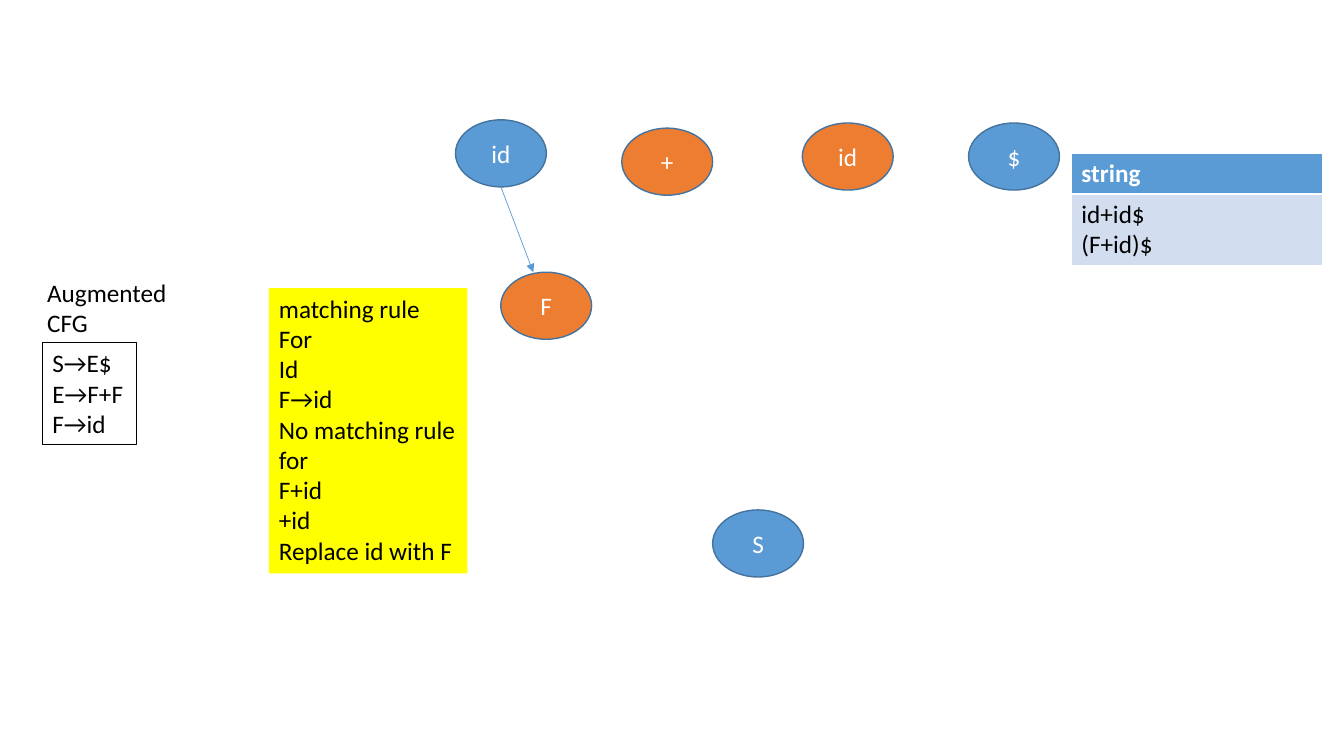
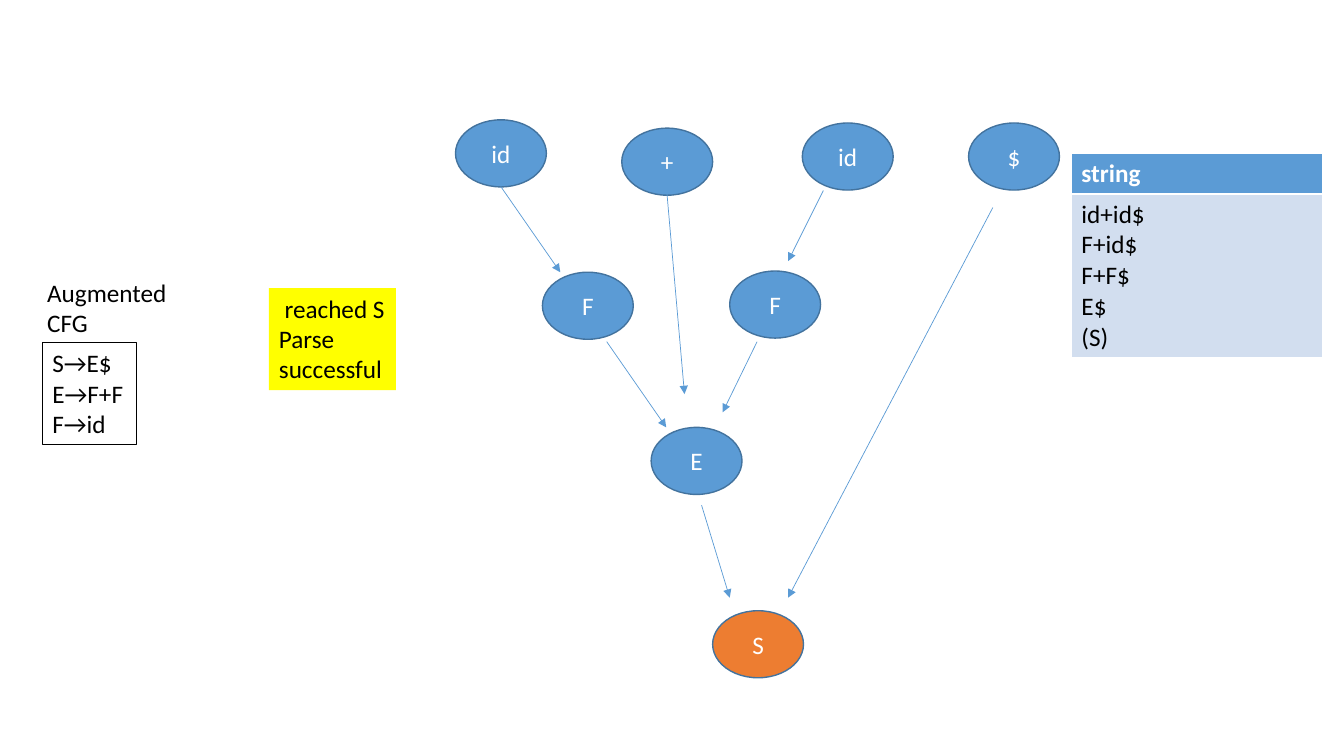
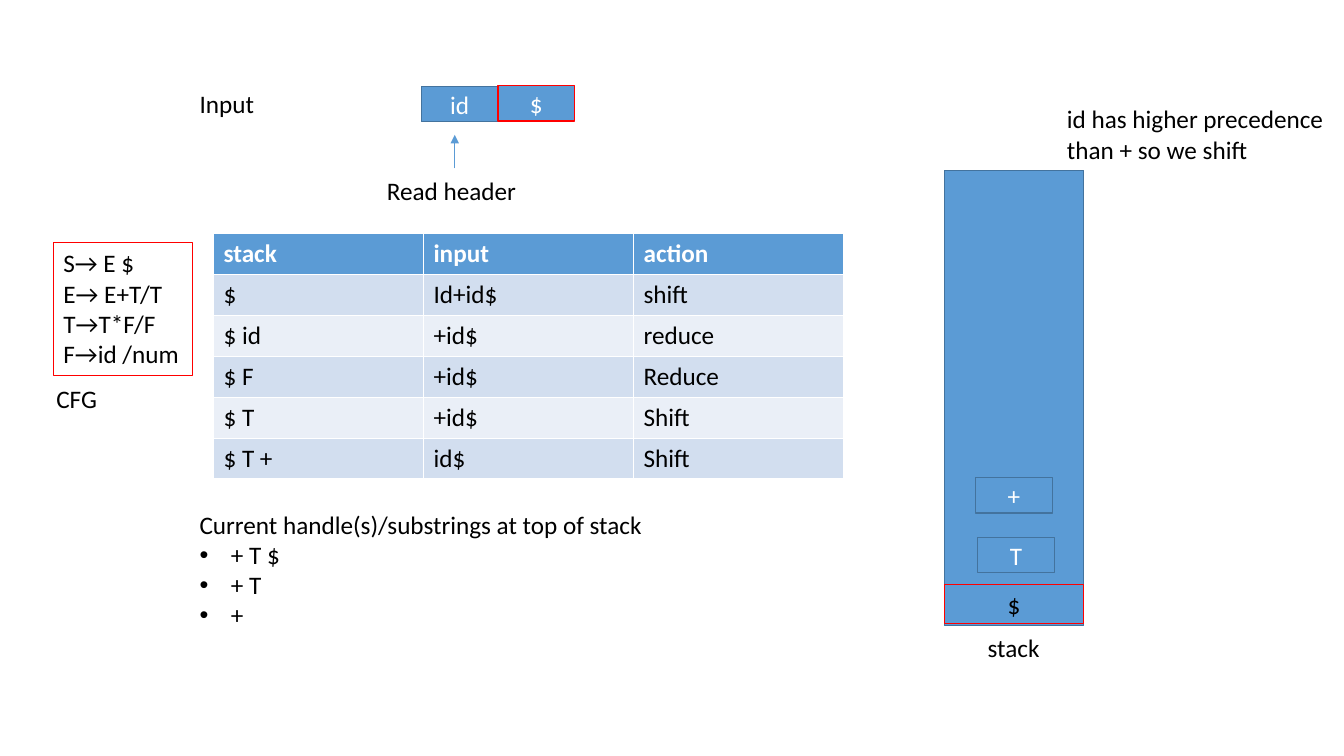
from lxml import etree
from pptx import Presentation
from pptx.dml.color import RGBColor
from pptx.enum.shapes import MSO_CONNECTOR, MSO_SHAPE
from pptx.enum.text import MSO_ANCHOR, PP_ALIGN
from pptx.oxml.ns import qn
from pptx.util import Cm, Pt

OVAL, RECT = MSO_SHAPE.OVAL, MSO_SHAPE.RECTANGLE
STRAIGHT = MSO_CONNECTOR.STRAIGHT
MIDDLE, CENTER = MSO_ANCHOR.MIDDLE, PP_ALIGN.CENTER

BLUE, ORANGE, EDGE = "5B9BD5", "ED7D31", "43739E"
YELLOW, RED, WHITE, BLACK = "FFFF00", "FF0000", "FFFFFF", "000000"
BANDS = ("D2DEEF", "EAEFF7")
FONT, SIZE = "Calibri", 18
LINE_HEIGHT, PADDING = 0.77, 0.26
NODE_SIZE, TILE_SIZE = (2.29, 1.69), (1.93, 0.89)

# Lengths are centimetres
GRAMMAR = ["S→E$", "E→F+F", "F→id"]
TOKENS = [("id", 11.48, 3.02), ("+", 15.67, 3.23), ("id", 20.22, 3.1), ("$", 24.41, 3.1)]

PARSE_STEPS = [
    {
        "message": ["matching rule", "For", "Id", "F→id", "No matching rule", "for",
                    "F+id", "+id", "Replace id with F"],
        "message_width": 5.0,
        "token_colors": [BLUE, ORANGE, ORANGE, BLUE],
        "nodes": [("S", 17.96, 12.85, BLUE), ("F", 12.62, 6.86, ORANGE)],
        "arrows": [(12.62, 4.7, 13.44, 6.86)],
        "strings": ["id+id$", "(F+id)$"],
    },
    {
        "message": [" reached S", "Parse", "successful"],
        "message_width": 3.2,
        "token_colors": [BLUE] * 4,
        "nodes": [("S", 17.96, 15.39, ORANGE), ("F", 13.67, 6.86, BLUE),
                  ("F", 18.39, 6.83, BLUE), ("E", 16.41, 10.77, BLUE)],
        "arrows": [(12.62, 4.7, 14.12, 6.86), (20.75, 4.8, 19.86, 6.58),
                   (15.29, 8.61, 16.79, 10.77), (19.08, 8.61, 18.21, 10.39),
                   (16.81, 4.9, 17.25, 9.93), (25.02, 5.23, 19.86, 15.06),
                   (17.68, 12.73, 18.39, 15.06)],
        "strings": ["id+id$", "F+id$", "F+F$", "E$", "(S)"],
    },
]

STACK_GRAMMAR = ["S→ E $", "E→ E+T/T", "T→T*F/F", "F→id /num"]
STACK_TRACE = [
    ("stack", "input", "action"),
    ("$", "Id+id$", "shift"),
    ("$ id", "+id$", "reduce"),
    ("$ F", "+id$", "Reduce"),
    ("$ T", "+id$", "Shift"),
    ("$ T +", "id$", "Shift"),
]
STACK_TILES = [("id", 10.62, 2.18, EDGE), ("$", 12.55, 2.16, RED),
               ("+", 24.59, 12.04, EDGE), ("T", 24.64, 13.54, EDGE)]
STACK_LABELS = [
    (["stack"], 24.64, 15.8, 1.83),
    (["Input"], 4.78, 2.11, 1.91),
    (["CFG"], 1.17, 9.53, 1.55),
    (["Read header"], 9.5, 4.29, 3.81),
    (["id has higher precedence", "than + so we shift"], 26.64, 2.49, 7.21),
]
HANDLES = ["Current handle(s)/substrings at top of stack", "+ T $", "+ T", "+"]


def rgb(color):
    """Turn a hex string into a colour."""
    return RGBColor.from_string(color)


def text_height(lines):
    """Height of a frame that holds these lines."""
    return len(lines) * LINE_HEIGHT + PADDING


def write(frame, lines, color=BLACK, bold=False):
    """Fill a text frame with one paragraph per line."""
    frame.text = "\n".join(lines)
    for paragraph in frame.paragraphs:
        for run in paragraph.runs:
            run.font.name, run.font.size = FONT, Pt(SIZE)
            run.font.bold = bold
            run.font.color.rgb = rgb(color)


def add_box(slide, kind, label, left, top, size, fill=BLUE, edge=EDGE, color=WHITE):
    """Add a filled, outlined shape with a centred label."""
    box = slide.shapes.add_shape(kind, Cm(left), Cm(top), *map(Cm, size))
    box.shadow.inherit = False
    box.fill.solid()
    box.fill.fore_color.rgb = rgb(fill)
    box.line.color.rgb = rgb(edge)
    box.line.width = Pt(1)
    if label:
        write(box.text_frame, [label], color)
        box.text_frame.vertical_anchor = MIDDLE
        box.text_frame.paragraphs[0].alignment = CENTER


def add_note(slide, lines, left, top, width, fill=None, edge=None, wrap=False):
    """Add left-aligned text, with a fill and a frame if given."""
    note = slide.shapes.add_textbox(Cm(left), Cm(top), Cm(width), Cm(text_height(lines)))
    note.text_frame.word_wrap = wrap
    write(note.text_frame, lines)
    if fill:
        note.fill.solid()
        note.fill.fore_color.rgb = rgb(fill)
    if edge:
        note.line.color.rgb = rgb(edge)
        note.line.width = Pt(0.75)
    return note


def add_bullet(paragraph):
    """Give a paragraph a hanging bullet."""
    properties = paragraph._p.get_or_add_pPr()
    properties.set("marL", str(Cm(0.79)))
    properties.set("indent", str(-Cm(0.79)))
    etree.SubElement(properties, qn("a:buFont"), typeface="Arial")
    etree.SubElement(properties, qn("a:buChar"), char="•")


def add_arrow(slide, *ends):
    """Add a thin arrow from the first point to the second."""
    arrow = slide.shapes.add_connector(STRAIGHT, *map(Cm, ends))
    arrow.line.color.rgb = rgb(BLUE)
    arrow.line.width = Pt(0.5)
    etree.SubElement(arrow.line._get_or_add_ln(), qn("a:tailEnd"), type="triangle")
    etree.SubElement(arrow._element.spPr, qn("a:effectLst"))


def add_grid(slide, rows, left, top, width):
    """Add a banded table; each cell is a list of lines."""
    heights = [max(map(text_height, row)) for row in rows]
    table = slide.shapes.add_table(len(rows), len(rows[0]), Cm(left), Cm(top),
                                   Cm(width), Cm(sum(heights))).table
    for r, row in enumerate(rows):
        table.rows[r].height = Cm(heights[r])
        header = r == 0
        for c, lines in enumerate(row):
            cell = table.cell(r, c)
            cell.fill.solid()
            cell.fill.fore_color.rgb = rgb(BLUE if header else BANDS[(r - 1) % 2])
            write(cell.text_frame, lines, WHITE if header else BLACK, header)


def build_parse_step(slide, step):
    """Draw one step of the bottom-up parse."""
    add_note(slide, GRAMMAR, 1.07, 8.64, 2.36, edge=BLACK)
    add_note(slide, ["Augmented", "CFG"], 0.94, 6.86, 4.29, wrap=True)
    add_note(slide, step["message"], 6.78, 7.26, step["message_width"], fill=YELLOW)
    tokens = [(*token, fill) for token, fill in zip(TOKENS, step["token_colors"])]
    for symbol, left, top, fill in tokens + step["nodes"]:
        add_box(slide, OVAL, symbol, left, top, NODE_SIZE, fill)
    for ends in step["arrows"]:
        add_arrow(slide, *ends)
    add_grid(slide, [[["string"]], [step["strings"]]], 27, 3.86, 6.32)


def build_stack(slide):
    """Draw the shift-reduce trace beside its stack."""
    add_box(slide, RECT, "", 23.8, 4.29, (3.51, 11.48))
    add_box(slide, RECT, "$", 23.8, 14.73, (3.51, 0.99), edge=RED, color=BLACK)
    for symbol, left, top, edge in STACK_TILES:
        add_box(slide, RECT, symbol, left, top, TILE_SIZE, edge=edge)
    for label in STACK_LABELS:
        add_note(slide, *label)
    add_note(slide, STACK_GRAMMAR, 1.35, 6.12, 3.51, fill=WHITE, edge=RED)
    add_arrow(slide, 11.46, 4.24, 11.46, 3.4)
    handles = add_note(slide, HANDLES, 4.78, 12.7, 11.79)
    for paragraph in handles.text_frame.paragraphs[1:]:
        add_bullet(paragraph)
    add_grid(slide, [[[entry] for entry in row] for row in STACK_TRACE], 5.38, 5.89, 15.88)


def main():
    """Build the deck and save it."""
    deck = Presentation()
    deck.slide_width, deck.slide_height = Cm(33.87), Cm(19.05)
    blank = deck.slide_layouts[6]
    for step in PARSE_STEPS:
        build_parse_step(deck.slides.add_slide(blank), step)
    build_stack(deck.slides.add_slide(blank))
    deck.save("out.pptx")


main()
